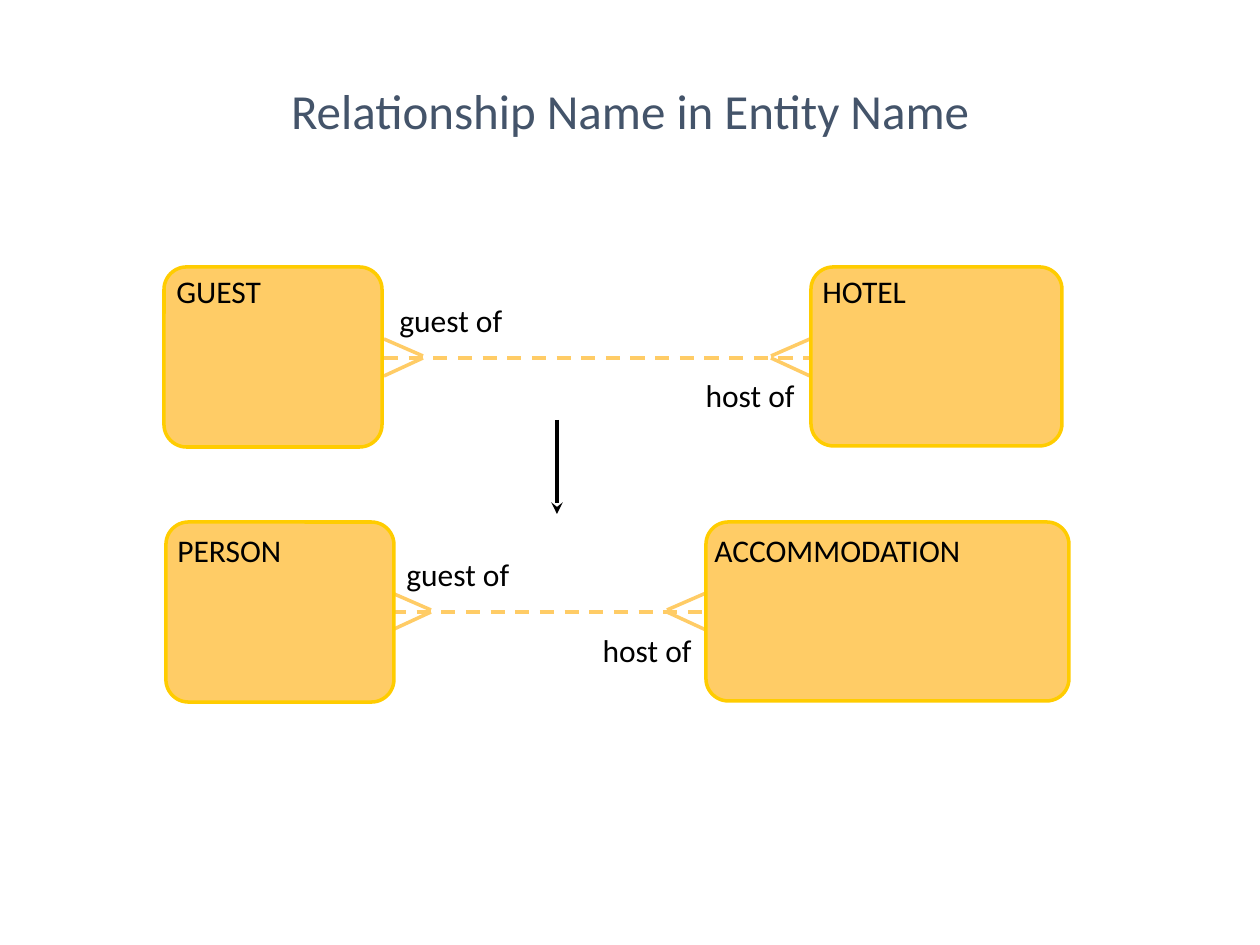
from lxml.etree import SubElement
from pptx import Presentation
from pptx.dml.color import RGBColor
from pptx.enum.dml import MSO_LINE
from pptx.enum.shapes import MSO_CONNECTOR, MSO_SHAPE
from pptx.enum.text import MSO_ANCHOR, PP_ALIGN
from pptx.oxml.ns import qn
from pptx.util import Emu, Pt

AMBER = RGBColor(0xFF, 0xCC, 0x66)
GOLD = RGBColor(0xFF, 0xCC, 0x00)
SLATE = RGBColor(0x44, 0x54, 0x6A)
BLACK = RGBColor(0, 0, 0)
FONT = "Calibri"
LABEL_HEIGHT = 50
LABEL_WIDTH = 219


def px(length):
    """Turn pixels into EMU at 126 pixels to the inch."""
    return Emu(round(length * 914400 / 126))


def write(frame, text, size=18, color=BLACK, align=PP_ALIGN.LEFT):
    """Put one formatted paragraph into a text frame."""
    frame.word_wrap = True
    frame.vertical_anchor = MSO_ANCHOR.TOP
    paragraph = frame.paragraphs[0]
    paragraph.alignment = align
    run = paragraph.add_run()
    run.text = text
    run.font.name = FONT
    run.font.size = Pt(size)
    run.font.color.rgb = color


class EntityDiagram:
    """Entity relationship elements drawn on one slide."""

    def __init__(self, slide):
        """Keep the slide to draw on."""
        self.shapes = slide.shapes

    def label(self, text, left, top, width=LABEL_WIDTH, height=LABEL_HEIGHT, **style):
        """Add a text box."""
        box = self.shapes.add_textbox(px(left), px(top), px(width), px(height))
        write(box.text_frame, text, **style)

    def line(self, start, end, color=AMBER, weight=2, dashed=False, arrow=False):
        """Add a straight line, dashed or with an arrowhead if asked."""
        link = self.shapes.add_connector(
            MSO_CONNECTOR.STRAIGHT, *map(px, start), *map(px, end))
        link.line.color.rgb = color
        link.line.width = Pt(weight)
        if dashed:
            link.line.dash_style = MSO_LINE.DASH
        if arrow:
            SubElement(link.line._get_or_add_ln(), qn("a:tailEnd"), type="stealth")
        SubElement(link._element.spPr, qn("a:effectLst"))

    def entity(self, name, box, name_at):
        """Add a rounded entity box with its name."""
        body = self.shapes.add_shape(MSO_SHAPE.ROUNDED_RECTANGLE, *map(px, box))
        body.adjustments[0] = 0.125
        body.shadow.inherit = False
        body.fill.solid()
        body.fill.fore_color.rgb = AMBER
        body.line.color.rgb = GOLD
        body.line.width = Pt(2)
        self.label(name, *name_at)

    def relationship(self, left, right, y, guest_at, host_at):
        """Add a dashed many-to-many link with a crow's foot at each end."""
        self.line((left, y), (right, y), dashed=True)
        for side, toward in ((left, 1), (right, -1)):
            tip = side + 39 * toward
            self.line((tip, y - 2), (side, y - 19))
            self.line((tip, y), (side, y + 18))
        self.label("guest of", *guest_at)
        self.label("host of", *host_at, align=PP_ALIGN.RIGHT)


presentation = Presentation()
presentation.slide_width, presentation.slide_height = px(1260), px(945)
diagram = EntityDiagram(
    presentation.slides.add_slide(presentation.slide_layouts[6]))

diagram.relationship(384, 810, 358, guest_at=(387, 295), host_at=(588, 370))
diagram.relationship(392, 706, 612, guest_at=(394, 549), host_at=(485, 625))

ENTITIES = (
    ("HOTEL", (811, 267, 251, 179), (810, 266, 199)),
    ("GUEST", (164, 267, 218, 180), (164, 266, 241)),
    ("ACCOMMODATION", (706, 522, 363, 179), (702, 525, 386)),
    ("PERSON", (166, 522, 228, 180), (165, 525, 203)),
)
for name, box, name_at in ENTITIES:
    diagram.entity(name, box, name_at)

diagram.label("Relationship Name in Entity Name", 127, 74, 1006, 121,
              size=28, color=SLATE, align=PP_ALIGN.CENTER)
diagram.line((557, 420), (557, 514), color=BLACK, weight=2.25, arrow=True)

presentation.save("out.pptx")
